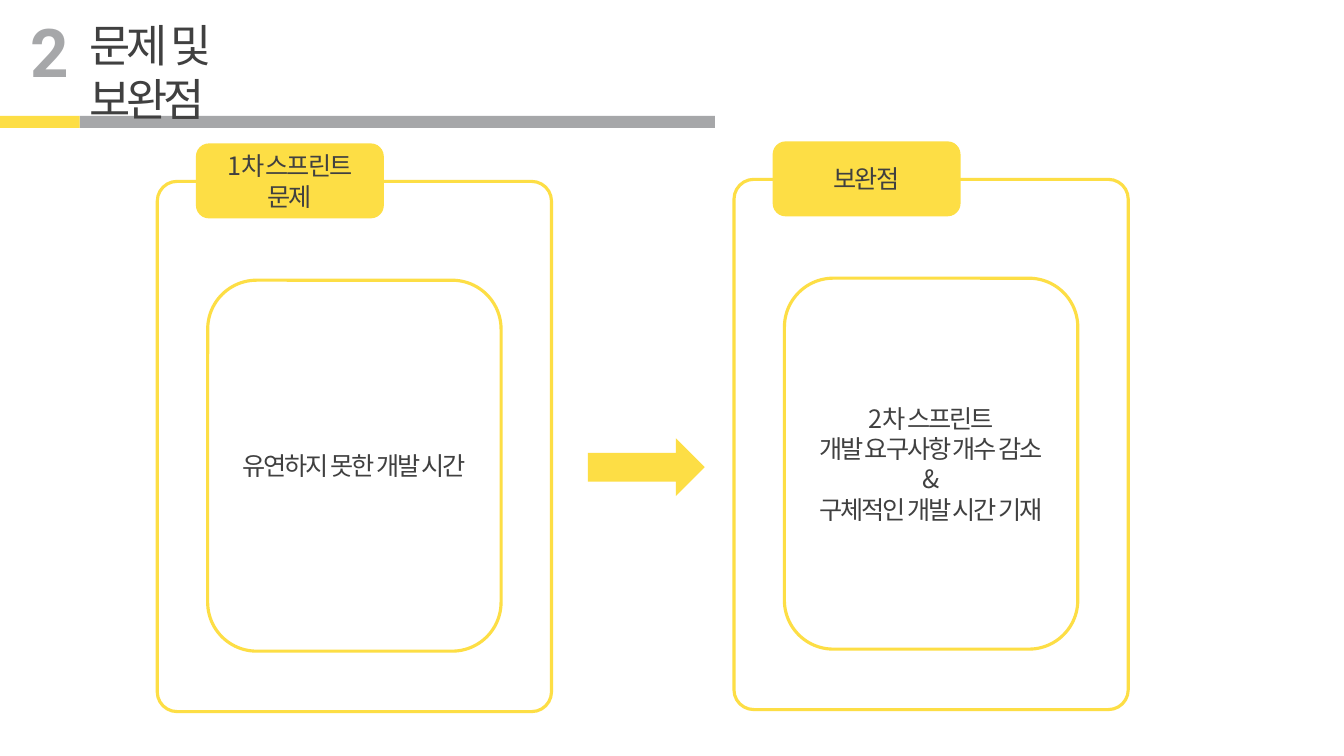
import pptx
import pptx.dml.color
import pptx.enum.shapes
import pptx.enum.text
import pptx.oxml
import pptx.oxml.ns
import pptx.util

EMU_PER_PX = 9144  # 100 px to the inch
COLOURS = {"yellow": "FDDE45", "grey": "A6A7A9", "text": "404040"}
SHAPES = pptx.enum.shapes.MSO_SHAPE

TITLE = {"size": 32, "name": "Roboto", "colour": "text", "spacing": -3}
NUMBER = {"size": 48, "name": "Roboto", "colour": "grey", "bold": True}
LABEL = {"size": 18, "name": "Noto Sans CJK KR", "colour": "text", "spacing": -1.5}


def px(*lengths):
    return [pptx.util.Emu(length * EMU_PER_PX) for length in lengths]


def colour(name):
    return pptx.dml.color.RGBColor.from_string(COLOURS[name])


def format_run(run, style):
    values = {key: style[key] for key in ("name", "bold") if key in style}
    values["size"] = pptx.util.Pt(style["size"])
    for attribute, value in values.items():
        setattr(run.font, attribute, value)
    run.font.color.rgb = colour(style["colour"])
    properties = run.font._element
    # East Asian typeface and letter spacing
    east_asian = pptx.oxml.parse_xml(
        f'<a:ea {pptx.oxml.ns.nsdecls("a")} typeface="{style["name"]}"/>')
    properties.find(pptx.oxml.ns.qn("a:latin")).addnext(east_asian)
    if "spacing" in style:
        properties.set("spc", str(int(style["spacing"] * 100)))


def write_lines(frame, lines, style, alignment):
    for index, line in enumerate(lines):
        paragraph = frame.add_paragraph() if index else frame.paragraphs[0]
        paragraph.alignment = alignment
        run = paragraph.add_run()
        run.text = line
        format_run(run, style)


def add_heading(slide, box, text, style):
    frame = slide.shapes.add_textbox(*px(*box)).text_frame
    settings = {
        "word_wrap": False,
        "auto_size": pptx.enum.text.MSO_AUTO_SIZE.SHAPE_TO_FIT_TEXT,
    }
    for attribute, value in settings.items():
        setattr(frame, attribute, value)
    write_lines(frame, [text], style, pptx.enum.text.PP_ALIGN.LEFT)


def add_block(slide, kind, box, fill=None, line=None, width=1, corner=None, lines=()):
    shape = slide.shapes.add_shape(kind, *px(*box))
    shape.shadow.inherit = False
    if corner is not None:
        shape.adjustments[0] = corner
    if fill:
        shape.fill.solid()
        shape.fill.fore_color.rgb = colour(fill)
    else:
        shape.fill.background()
    if line:
        shape.line.color.rgb = colour(line)
        shape.line.width = pptx.util.Pt(width)
    else:
        shape.line.fill.background()
    if lines:
        frame = shape.text_frame
        frame.word_wrap = True
        frame.vertical_anchor = pptx.enum.text.MSO_ANCHOR.MIDDLE
        write_lines(frame, lines, LABEL, pptx.enum.text.PP_ALIGN.CENTER)


def add_panel(slide, left, top, tab_lines, card_lines):
    rounded = SHAPES.ROUNDED_RECTANGLE
    # Outer frame, tab on its top edge, inner card
    add_block(slide, rounded, (left, top, 391, 526),
              line="yellow", width=2.25, corner=0.05)
    add_block(slide, rounded, (left + 39, top - 37, 185, 73),
              fill="yellow", line="yellow", lines=tab_lines)
    add_block(slide, rounded, (left + 50, top + 98, 291, 368),
              line="yellow", width=2.25, lines=card_lines)


def main():
    presentation = pptx.Presentation()
    presentation.slide_width, presentation.slide_height = px(1333, 750)
    slide = presentation.slides.add_slide(presentation.slide_layouts[6])

    # Header
    add_block(slide, SHAPES.RECTANGLE, (79, 115, 630, 12), fill="grey")
    add_block(slide, SHAPES.RECTANGLE, (0, 115, 79, 12), fill="yellow")
    add_heading(slide, (79, 13, 256, 64), "문제 및 보완점", TITLE)
    add_heading(slide, (20, 5, 58, 91), "2", NUMBER)

    # Problem, improvement and the arrow between them
    add_panel(slide, 156, 180, ["1차 스프린트", "문제"], ["유연하지 못한 개발 시간"])
    add_panel(slide, 728, 178, ["보완점"],
              ["2차 스프린트", "개발 요구사항 개수 감소", "&", "구체적인 개발 시간 기재"])
    add_block(slide, SHAPES.RIGHT_ARROW, (583, 435, 116, 57), fill="yellow")

    presentation.save("out.pptx")


if __name__ == "__main__":
    main()
